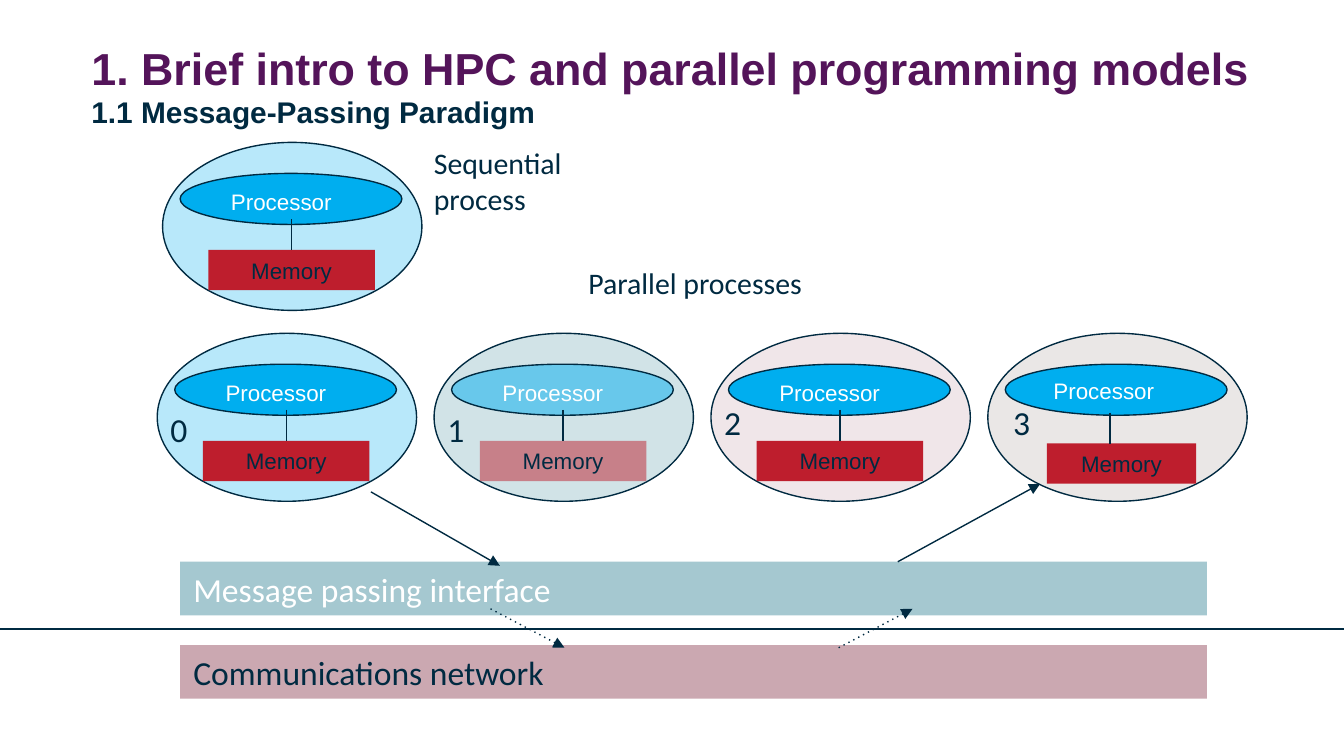
from dataclasses import dataclass

from lxml import etree
from pptx import Presentation
from pptx import util as u
from pptx.dml.color import RGBColor
from pptx.enum import shapes, text
from pptx.oxml.ns import qn


@dataclass(frozen=True)
class Theme:
    ink: str = "002A41"
    white: str = "FFFFFF"
    purple: str = "54145A"
    blue: str = "00AEEF"
    red: str = "BE1E2D"
    teal: str = "A5C8D0"
    rose: str = "CBA8B1"
    stone: str = "B6AAA7"
    heading: str = "Arial"
    body: str = "Calibri"
    title: int = 24
    label: int = 16
    large: int = 18
    small: int = 12
    line: float = 0.75


T = Theme()
OVAL = shapes.MSO_SHAPE.OVAL
RECT = shapes.MSO_SHAPE.RECTANGLE


def inches(*lengths):
    return [u.Inches(length) for length in lengths]


def write(paragraph, words, size=T.label, color=T.ink, font=T.body, bold=False,
          align=text.PP_ALIGN.LEFT):
    paragraph.alignment = align
    run = paragraph.add_run()
    run.text = words
    run.font.size = u.Pt(size)
    run.font.name = font
    run.font.bold = bold
    run.font.color.rgb = RGBColor.from_string(color)


def add_label(parent, words, box, **style):
    frame = parent.add_textbox(*inches(*box)).text_frame
    frame.word_wrap = True
    write(frame.paragraphs[0], words, **style)


def add_block(parent, kind, box, fill, opacity=100, outlined=False, words="", **style):
    block = parent.add_shape(kind, *inches(*box))
    block.shadow.inherit = False
    block.fill.solid()
    block.fill.fore_color.rgb = RGBColor.from_string(fill)
    if opacity < 100:
        color = block._element.spPr.find(qn("a:solidFill"))[0]
        etree.SubElement(color, qn("a:alpha"), val=str(opacity * 1000))
    if outlined:
        block.line.color.rgb = RGBColor.from_string(T.ink)
        block.line.width = u.Pt(T.line)
    else:
        block.line.fill.background()
    if words:
        block.text_frame.vertical_anchor = text.MSO_ANCHOR.MIDDLE
        write(block.text_frame.paragraphs[0], words, **style)


def add_line(parent, start, end, arrow=False, dotted=False):
    link = parent.add_connector(shapes.MSO_CONNECTOR.STRAIGHT, *inches(*start, *end))
    link.line.color.rgb = RGBColor.from_string(T.ink)
    link.line.width = u.Pt(T.line)
    properties = link._element.spPr
    stroke = properties.find(qn("a:ln"))
    if dotted:
        etree.SubElement(stroke, qn("a:prstDash"), val="dot")
    if arrow:
        etree.SubElement(stroke, qn("a:tailEnd"), type="triangle")
    etree.SubElement(properties, qn("a:effectLst"))


def add_title(slide, box):
    title = slide.shapes.title
    title.left, title.top, title.width, title.height = inches(*box)
    frame = title.text_frame
    frame.margin_left = frame.margin_top = frame.margin_right = frame.margin_bottom = 0
    frame.vertical_anchor = text.MSO_ANCHOR.TOP
    frame.auto_size = text.MSO_AUTO_SIZE.NONE
    frame.word_wrap = True
    heading = frame.paragraphs[0]
    write(heading, "1. Brief intro to HPC and parallel programming models",
          size=T.title, color=T.purple, font=T.heading, bold=True)
    heading.add_line_break()
    write(heading, "1.1 Message-Passing Paradigm", font=T.heading, bold=True)


def add_process(slide, box, fill, opacity=28, part_opacity=100, rank="",
                rank_at=(0, 0.51), caption_at=(0.41, 0.29),
                memory=(0.34, 0.8, 1.24), link_x=0.96):
    """One process: a processor linked to its memory inside an oval."""
    x, y, width, height = box
    parts = slide.shapes.add_group_shape().shapes
    add_block(parts, OVAL, box, fill, opacity, outlined=True)
    add_block(parts, OVAL, (x + 0.13, y + 0.23, width - 0.28, 0.38), T.blue,
              part_opacity, outlined=True)
    add_label(parts, "Processor", (x + caption_at[0], y + caption_at[1], 1.1, 0.3),
              size=T.small, color=T.white, font=T.heading)
    memory_x, memory_y, memory_width = memory
    add_block(parts, RECT, (x + memory_x, y + memory_y, memory_width, 0.3), T.red,
              part_opacity, words="Memory", size=T.small, font=T.heading,
              align=text.PP_ALIGN.CENTER)
    add_line(parts, (x + link_x, y + memory_y - 0.23), (x + link_x, y + memory_y))
    if rank:
        add_label(parts, rank, (x + rank_at[0], y + rank_at[1], 0.34, 0.4), size=T.large)


def add_sequential(slide, box):
    x, y, width, height = box
    add_process(slide, box, T.blue)
    add_label(slide.shapes, "Sequential process",
              (x + width - 0.01, y - 0.03, 1.32, 0.63))


def add_parallel(slide, box):
    x, y, width, height = box
    add_label(slide.shapes, "Parallel processes", (x + 3.11, y - 0.56, 1.84, 0.37))
    oval_width = 1.93
    step = (width - oval_width) / 3
    processes = [
        dict(fill=T.blue),
        dict(fill=T.teal, opacity=50, part_opacity=50),
        dict(fill=T.rose, rank_at=(0, 0.46)),
        dict(fill=T.stone, rank_at=(0.09, 0.46), caption_at=(0.39, 0.28),
             memory=(0.44, 0.82, 1.11), link_x=0.91),
    ]
    for rank, look in enumerate(processes):
        add_process(slide, (x + rank * step, y, oval_width, height), rank=str(rank), **look)


def add_transport(slide, box):
    """Interface and network bars, the divider and the message route."""
    x, y, width, height = box
    bar = 0.4
    network_y = y + height - bar
    parts = slide.shapes
    add_line(parts, (-0.07, y + 0.5), (10.01, y + 0.5))
    add_block(parts, RECT, (x, network_y, width, bar), T.rose,
              words="Communications network", size=T.large)
    add_block(parts, RECT, (x, y, width, bar), T.teal,
              words="Message passing interface", size=T.large, color=T.white)
    route = [
        ((1.42, -0.52), (2.38, 0.03), False),
        ((5.34, 0), (6.4, -0.58), False),
        ((2.31, 0.35), (2.86, 0.64), True),
        ((4.9, 0.64), (5.45, 0.35), True),
    ]
    for (x1, y1), (x2, y2), dotted in route:
        add_line(parts, (x + x1, y + y1), (x + x2, y + y2), arrow=True, dotted=dotted)


def main():
    deck = Presentation()
    deck.slide_width, deck.slide_height = inches(10, 10 * 9 / 16)
    slide = deck.slides.add_slide(deck.slide_layouts[5])  # title only
    add_sequential(slide, (1.21, 1.06, 1.93, 1.25))
    add_transport(slide, (1.34, 4.18, 7.64, 1.02))
    add_title(slide, (0.68, 0.3, 8.64, 0.94))
    add_parallel(slide, (1.17, 2.48, 8.11, 1.25))
    deck.save("out.pptx")


if __name__ == "__main__":
    main()
